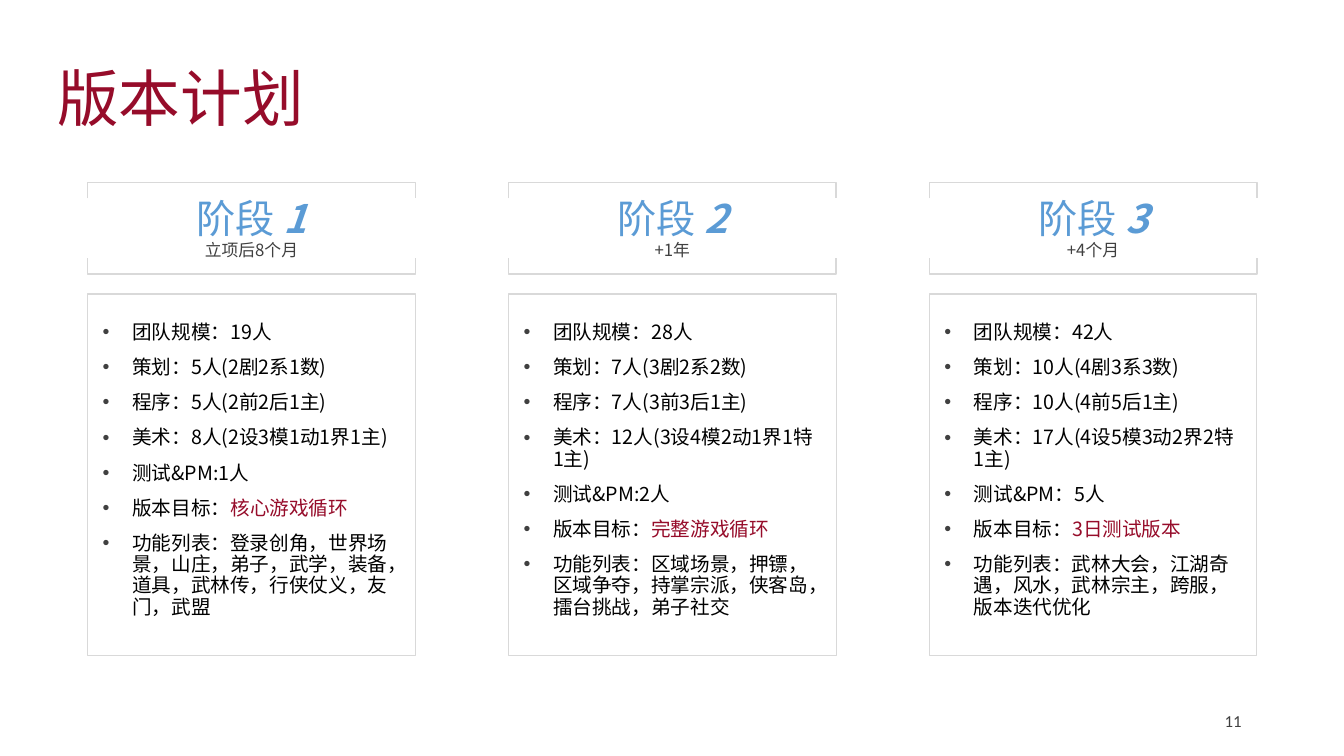
"""Build the three-phase release plan slide."""
from lxml.etree import SubElement
from pptx import Presentation
from pptx.dml.color import RGBColor
from pptx.enum.text import MSO_ANCHOR as Anchor, MSO_AUTO_SIZE as AutoSize, PP_ALIGN as Align
from pptx.oxml.ns import qn
from pptx.util import Pt

TITLE = "版本计划"
PAGE_NUMBER = "11"
PHASES = [
    ("1", "立项后8个月", "核心游戏循环", [
        "团队规模：19人", "策划：5人(2剧2系1数)", "程序：5人(2前2后1主)",
        "美术：8人(2设3模1动1界1主)", "测试&PM:1人"],
     "登录创角，世界场景，山庄，弟子，武学，装备，道具，武林传，行侠仗义，友门，武盟"),
    ("2", "+1年", "完整游戏循环", [
        "团队规模：28人", "策划：7人(3剧2系2数)", "程序：7人(3前3后1主)",
        "美术：12人(3设4模2动1界1特1主)", "测试&PM:2人"],
     "区域场景，押镖，区域争夺，持掌宗派，侠客岛，擂台挑战，弟子社交"),
    ("3", "+4个月", "3日测试版本", [
        "团队规模：42人", "策划：10人(4剧3系3数)", "程序：10人(4前5后1主)",
        "美术：17人(4设5模3动2界2特1主)", "测试&PM：5人"],
     "武林大会，江湖奇遇，风水，武林宗主，跨服，版本迭代优化"),
]
FONT = "Noto Sans CJK SC"
RED, BLUE, GRAY, BLACK, BORDER = "960C2A", "5B9BD5", "404040", "000000", "D9D9D9"
COLUMN_LEFT, COLUMN_WIDTH, COLUMN_PITCH = 62.6, 234, 300.6
BRACKET_TOP, BRACKET_BOTTOM, BRACKET_DEPTH = 130.3, 195.8, 11.3
HEADING_TOP, HEADING_HEIGHT = 136, 57
LIST_TOP, LIST_HEIGHT = 210, 258
LIST_PLACEHOLDERS, SPARE_PLACEHOLDER = (1, 2, 4), 3


def rgb(code):
    return RGBColor.from_string(code)


def style(font, size, color, name=FONT, bold=False, italic=False):
    font.size, font.name, font.bold, font.italic = Pt(size), name, bold, italic
    font.color.rgb = rgb(color)
    SubElement(font._element, qn("a:ea"), typeface=name)


def place(shape, left, top, width, height):
    shape.left, shape.top, shape.width, shape.height = map(Pt, (left, top, width, height))


def set_frame(shape, anchor, insets=(7.2, 3.6, 7.2, 3.6)):
    frame = shape.text_frame
    frame.word_wrap, frame.auto_size, frame.vertical_anchor = True, AutoSize.NONE, anchor
    (frame.margin_left, frame.margin_top,
     frame.margin_right, frame.margin_bottom) = map(Pt, insets)
    return frame


def add_run(paragraph, text, *look, **options):
    run = paragraph.add_run()
    run.text = text
    style(run.font, *look, **options)


def add_bracket(slide, left, edge, tip):
    right = left + COLUMN_WIDTH
    builder = slide.shapes.build_freeform(Pt(left), Pt(tip))
    corners = [(left, edge), (right, edge), (right, tip)]
    builder.add_line_segments([(Pt(x), Pt(y)) for x, y in corners], close=False)
    bracket = builder.convert_to_shape()
    bracket.shadow.inherit = False
    bracket.fill.background()
    bracket.line.color.rgb = rgb(BORDER)
    bracket.line.width = Pt(1)


def add_heading(slide, left, number, timing):
    box = slide.shapes.add_textbox(0, 0, 0, 0)
    place(box, left, HEADING_TOP, COLUMN_WIDTH, HEADING_HEIGHT)
    paragraph = set_frame(box, Anchor.MIDDLE, (8.6, 2.9, 8.6, 2.9)).paragraphs[0]
    paragraph.alignment, paragraph.line_spacing = Align.CENTER, 0.9
    paragraph.space_before = Pt(10)
    add_run(paragraph, "阶段 ", 28, BLUE)
    add_run(paragraph, number, 28, BLUE, bold=True, italic=True)
    paragraph.add_line_break()
    add_run(paragraph, timing, 12, GRAY)


def add_bullet(paragraph):
    properties = paragraph._p.get_or_add_pPr()
    properties.set("marL", str(Pt(21)))
    properties.set("indent", str(Pt(-21)))
    color = SubElement(properties, qn("a:buClr"))
    SubElement(color, qn("a:srgbClr"), val=GRAY)
    SubElement(properties, qn("a:buFont"), typeface="Arial")
    SubElement(properties, qn("a:buChar"), char="•")


def fill_list(shape, left, goal, staffing, features):
    place(shape, left, LIST_TOP, COLUMN_WIDTH, LIST_HEIGHT)
    shape.line.color.rgb = rgb(BORDER)
    shape.line.width = Pt(0.75)
    frame = set_frame(shape, Anchor.TOP, (10.8, 20.2, 10.8, 3.6))
    rows = [[(line, BLACK)] for line in staffing]
    rows += [[("版本目标：", BLACK), (goal, RED)], [("功能列表：" + features, BLACK)]]
    for index, row in enumerate(rows):
        paragraph = frame.add_paragraph() if index else frame.paragraphs[0]
        paragraph.alignment, paragraph.line_spacing = Align.LEFT, 0.9
        paragraph.space_before = Pt(10)
        add_bullet(paragraph)
        for text, color in row:
            add_run(paragraph, text, 14, color)


def main():
    presentation = Presentation()
    presentation.slide_width, presentation.slide_height = Pt(960), Pt(540)
    slide = presentation.slides.add_slide(presentation.slide_layouts.get_by_name("Comparison"))
    placeholders = {shape.placeholder_format.idx: shape for shape in slide.placeholders}
    spare = placeholders[SPARE_PLACEHOLDER]._element
    spare.getparent().remove(spare)

    title = slide.shapes.title
    place(title, 33.8, 39.6, 257, 65.5)
    paragraph = set_frame(title, Anchor.MIDDLE).paragraphs[0]
    paragraph.alignment, paragraph.line_spacing = Align.LEFT, 0.9
    add_run(paragraph, TITLE, 44, RED)

    for column, (number, timing, goal, staffing, features) in enumerate(PHASES):
        left = COLUMN_LEFT + column * COLUMN_PITCH
        add_bracket(slide, left, BRACKET_BOTTOM, BRACKET_BOTTOM - BRACKET_DEPTH)
        add_bracket(slide, left, BRACKET_TOP, BRACKET_TOP + BRACKET_DEPTH)
        add_heading(slide, left, number, timing)
        fill_list(placeholders[LIST_PLACEHOLDERS[column]], left, goal, staffing, features)

    page = slide.shapes.add_textbox(0, 0, 0, 0)
    place(page, 678, 500.4, 216, 28.8)
    paragraph = set_frame(page, Anchor.MIDDLE).paragraphs[0]
    paragraph.alignment = Align.RIGHT
    add_run(paragraph, PAGE_NUMBER, 12, GRAY, name="Calibri")

    presentation.save("out.pptx")


if __name__ == "__main__":
    main()
